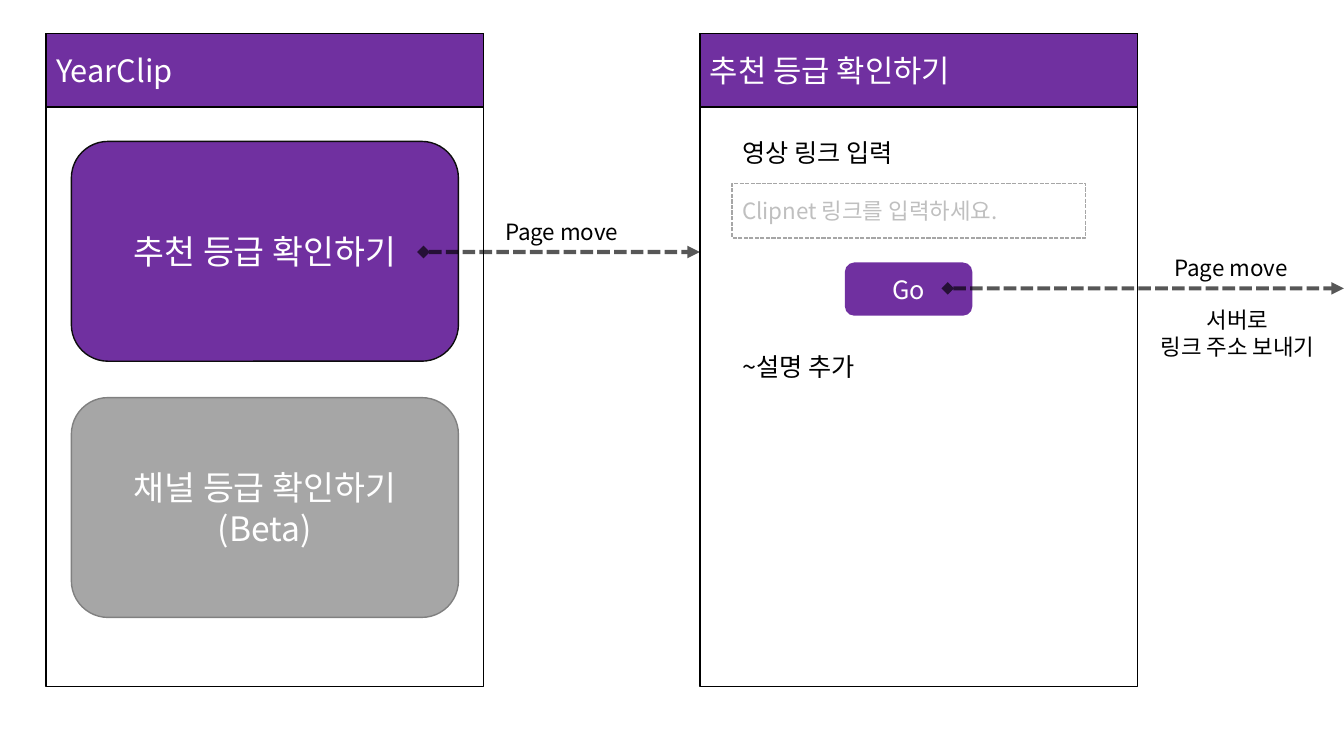
from lxml.etree import SubElement
from pptx import Presentation
from pptx.dml.color import RGBColor
from pptx.enum.dml import MSO_LINE
from pptx.enum.shapes import MSO_CONNECTOR, MSO_SHAPE
from pptx.enum.text import MSO_ANCHOR, PP_ALIGN
from pptx.oxml.ns import qn
from pptx.util import Pt

FONT = "Noto Sans CJK KR"
WHITE = RGBColor(0xFF, 0xFF, 0xFF)
BLACK = RGBColor(0x00, 0x00, 0x00)
NEAR_BLACK = RGBColor(0x0D, 0x0D, 0x0D)
PURPLE = RGBColor(0x70, 0x30, 0xA0)
GRAY = RGBColor(0xA6, 0xA6, 0xA6)
DARK_GRAY = RGBColor(0x80, 0x80, 0x80)
HINT_GRAY = RGBColor(0xBF, 0xBF, 0xBF)

SCREEN_TOP, SCREEN_WIDTH, SCREEN_HEIGHT = 24, 312.5, 466.5
HEADER_HEIGHT = 52.5
CARD_WIDTH, CARD_HEIGHT, CARD_PITCH = 276.5, 157, 183
LABEL_RISE = 28


def set_text(shape, text, size, color, align):
    text_frame = shape.text_frame
    text_frame.text = text
    for paragraph in text_frame.paragraphs:
        paragraph.alignment = align
        for run in paragraph.runs:
            run.font.name = FONT
            run.font.size = Pt(size)
            run.font.color.rgb = color
            east_asian = SubElement(run.font._element, qn("a:ea"))
            east_asian.set("typeface", FONT)


def add_box(slide, kind, left, top, width, height, fill, line,
            text="", size=18, color=WHITE, align=PP_ALIGN.CENTER):
    shape = slide.shapes.add_shape(kind, Pt(left), Pt(top), Pt(width), Pt(height))
    shape.shadow.inherit = False
    shape.fill.solid()
    shape.fill.fore_color.rgb = fill
    shape.line.color.rgb = line
    shape.line.width = Pt(1)
    shape.text_frame.vertical_anchor = MSO_ANCHOR.MIDDLE
    if text:
        set_text(shape, text, size, color, align)
    return shape


def add_label(slide, left, top, width, height, text, size,
              align=PP_ALIGN.LEFT, wrap=True):
    label = slide.shapes.add_textbox(Pt(left), Pt(top), Pt(width), Pt(height))
    label.text_frame.word_wrap = wrap
    set_text(label, text, size, BLACK, align)


def add_screen(slide, left, title):
    add_box(slide, MSO_SHAPE.RECTANGLE, left, SCREEN_TOP,
            SCREEN_WIDTH, SCREEN_HEIGHT, WHITE, BLACK)
    add_box(slide, MSO_SHAPE.RECTANGLE, left, SCREEN_TOP, SCREEN_WIDTH,
            HEADER_HEIGHT, PURPLE, BLACK, title, 22, align=PP_ALIGN.LEFT)


def add_page_move(slide, start, end, y, label_left):
    arrow = slide.shapes.add_connector(
        MSO_CONNECTOR.STRAIGHT, Pt(start), Pt(y), Pt(end), Pt(y))
    arrow.line.width = Pt(3)
    arrow.line.color.rgb = BLACK
    arrow.line.dash_style = MSO_LINE.SQUARE_DOT
    # Transparency, arrowheads and no shadow
    properties = arrow._element.spPr
    line = properties.find(qn("a:ln"))
    SubElement(next(line.iter(qn("a:srgbClr"))), qn("a:alpha")).set("val", "65000")
    SubElement(line, qn("a:headEnd")).set("type", "diamond")
    SubElement(line, qn("a:tailEnd")).set("type", "triangle")
    SubElement(properties, qn("a:effectLst"))
    add_label(slide, label_left, y - LABEL_RISE, 96.5, 26.5, "Page move", 16,
              PP_ALIGN.CENTER, wrap=False)


def main():
    presentation = Presentation()
    presentation.slide_width = Pt(960)
    presentation.slide_height = Pt(540)
    slide = presentation.slides.add_slide(presentation.slide_layouts[6])

    # Home screen with its two menu cards
    add_screen(slide, 33, "YearClip")
    cards = [
        ("추천 등급 확인하기", PURPLE, NEAR_BLACK),
        ("채널 등급 확인하기\n(Beta)", GRAY, DARK_GRAY),
    ]
    for index, (text, fill, line) in enumerate(cards):
        add_box(slide, MSO_SHAPE.ROUNDED_RECTANGLE, 51, 101 + index * CARD_PITCH,
                CARD_WIDTH, CARD_HEIGHT, fill, line, text, 24)

    # Link entry screen
    add_screen(slide, 500, "추천 등급 확인하기")
    link_field = add_box(slide, MSO_SHAPE.RECTANGLE, 523, 131, 252.5, 39, WHITE, GRAY,
                         "Clipnet 링크를 입력하세요.", 16, HINT_GRAY, PP_ALIGN.LEFT)
    link_field.line.dash_style = MSO_LINE.SQUARE_DOT
    add_label(slide, 523, 94.5, 150, 29, "영상 링크 입력", 18)
    add_label(slide, 523, 247.5, 252.5, 29, "~설명 추가", 18)
    add_box(slide, MSO_SHAPE.ROUNDED_RECTANGLE, 604, 188, 90, 37,
            PURPLE, PURPLE, "Go", 18)

    # Page moves
    add_page_move(slide, 302.5, 500, 180, 353)
    add_page_move(slide, 677, 960, 206, 831)
    add_label(slide, 815, 215, 138, 46, "서버로\n링크 주소 보내기", 16, PP_ALIGN.CENTER)

    presentation.save("out.pptx")


main()
